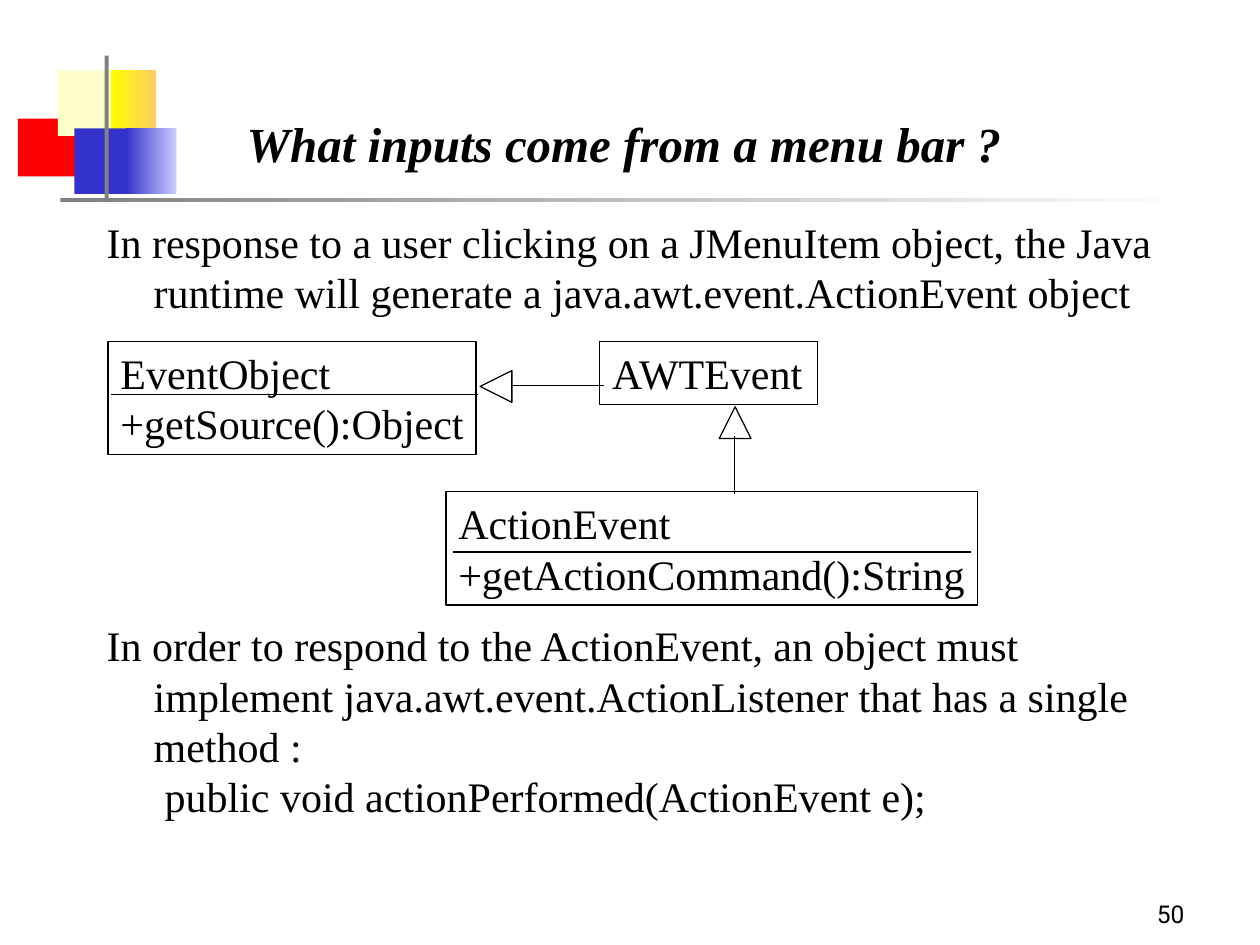
import pptx
import pptx.dml.color
import pptx.enum.shapes
import pptx.enum.text
import pptx.oxml.ns
import pptx.util
from lxml import etree

Cm = pptx.util.Cm
Pt = pptx.util.Pt
Shape = pptx.enum.shapes.MSO_SHAPE
Align = pptx.enum.text.PP_ALIGN
Anchor = pptx.enum.text.MSO_ANCHOR
rgb = pptx.dml.color.RGBColor.from_string

hues = {
    "black": "000000", "white": "FFFFFF", "grey": "808080", "red": "FF0000",
    "cream": "FFFFCC", "yellow": "FFFF00", "gold": "FFCC66",
    "blue": "3333CC", "pale": "CCCCFF",
}
serif = "Times New Roman"

deck = pptx.Presentation()
deck.slide_width, deck.slide_height = Cm(25.4), Cm(19.05)
slide = deck.slides.add_slide(deck.slide_layouts[6])
shapes = slide.shapes


def draw(kind, place, fill=()):
    """Add a shape: no fill gets a thin outline, two colours a gradient."""
    shape = shapes.add_shape(kind, *[Cm(n) for n in place])
    shape.shadow.inherit = False
    if not fill:
        shape.fill.background()
        shape.line.color.rgb = rgb(hues["black"])
        shape.line.width = Pt(0.75)
        return shape
    shape.line.fill.background()
    if len(fill) == 1:
        shape.fill.solid()
        shape.fill.fore_color.rgb = rgb(hues[fill[0]])
    else:
        shape.fill.gradient()
        shape.fill.gradient_angle = 0
        for stop, hue in zip(shape.fill.gradient_stops, fill):
            stop.color.rgb = rgb(hues[hue])
    return shape


def write(frame, lines, size=24, font=serif, align=Align.LEFT, pitch=None):
    """Fill a text frame, one paragraph a line; return the runs."""
    runs = []
    for i, line in enumerate(lines):
        para = frame.add_paragraph() if i else frame.paragraphs[0]
        para.alignment = align
        if pitch:
            para.line_spacing = pitch
        run = para.add_run()
        run.text = line
        run.font.size, run.font.name = Pt(size), font
        run.font.color.rgb = rgb(hues["black"])
        runs.append(run)
    return runs


# Corner blocks and rules
for place, fill in [
    ((0.36, 2.39, 1.55, 1.17), ["red"]),
    ((1.22, 3.99, 22.86, 0.08), ["grey", "white"]),
    ((1.17, 1.42, 1.22, 1.32), ["cream"]),
    ((2.24, 1.42, 0.91, 1.32), ["yellow", "gold"]),
    ((1.5, 2.59, 1.17, 1.32), ["blue"]),
    ((2.54, 2.59, 1.02, 1.32), ["blue", "pale"]),
    ((2.11, 1.12, 0.08, 2.92), ["grey"]),
]:
    draw(Shape.RECTANGLE, place, fill)

# Title
title = shapes.add_textbox(Cm(1.9), Cm(1.7), Cm(21.6), Cm(1.9)).text_frame
title.word_wrap = True
title.vertical_anchor = Anchor.BOTTOM
head = write(title, ["What inputs come from a menu bar ? "], 28, align=Align.CENTER)[0]
head.font.bold = head.font.italic = True

# Body text, with room for the diagram after the first paragraph
pitch = Pt(28.8)
body = shapes.add_textbox(Cm(1.9), Cm(4.24), Cm(21.6), Cm(12.7)).text_frame
body.word_wrap = True
write(body, [
    "In response to a user clicking on a JMenuItem object, the Java "
    "runtime will generate a java.awt.event.ActionEvent object",
    "In order to respond to the ActionEvent, an object must implement "
    "java.awt.event.ActionListener that has a single method :",
    "public void actionPerformed(ActionEvent e);",
], pitch=pitch)
for para, left, hang in zip(body.paragraphs, (0.95, 0.95, 1.17), (-0.95, -0.95, 0)):
    props = para._p.get_or_add_pPr()
    props.set("marL", str(Cm(left)))
    props.set("indent", str(Cm(hang)))
body.paragraphs[1].space_before = 6 * pitch

# Class boxes
for place, lines in [
    ((2.18, 6.88, 7.42, 2.29), ["EventObject", "+getSource():Object"]),
    ((12.09, 6.88, 4.39, 1.27), ["AWTEvent"]),
    ((8.99, 9.91, 10.72, 2.29), ["ActionEvent", "+getActionCommand():String"]),
]:
    frame = draw(Shape.RECTANGLE, place).text_frame
    frame.word_wrap = False
    frame.vertical_anchor = Anchor.TOP
    write(frame, lines, pitch=pitch)

# Inheritance arrowheads
for left, top, turn in [(14.5, 8.2, 0), (9.68, 7.47, 270)]:
    draw(Shape.ISOSCELES_TRIANGLE, (left, top, 0.64, 0.64)).rotation = turn

# Arrow stems and box dividers
for ends in [
    (10.31, 7.77, 12.17, 7.77),
    (14.81, 8.79, 14.81, 9.96),
    (2.24, 7.95, 9.63, 7.95),
    (9.14, 11.13, 19.58, 11.13),
]:
    line = shapes.add_connector(
        pptx.enum.shapes.MSO_CONNECTOR.STRAIGHT, *[Cm(n) for n in ends])
    line.line.color.rgb = rgb(hues["black"])
    line.line.width = Pt(0.75)
    etree.SubElement(line._element.spPr, pptx.oxml.ns.qn("a:effectLst"))

# Page number
page = shapes.add_textbox(Cm(18.85), Cm(17.58), Cm(5.28), Cm(1.27)).text_frame
page.word_wrap = True
page.vertical_anchor = Anchor.BOTTOM
write(page, ["50"], 14, "Roboto", Align.RIGHT)

deck.save("out.pptx")
